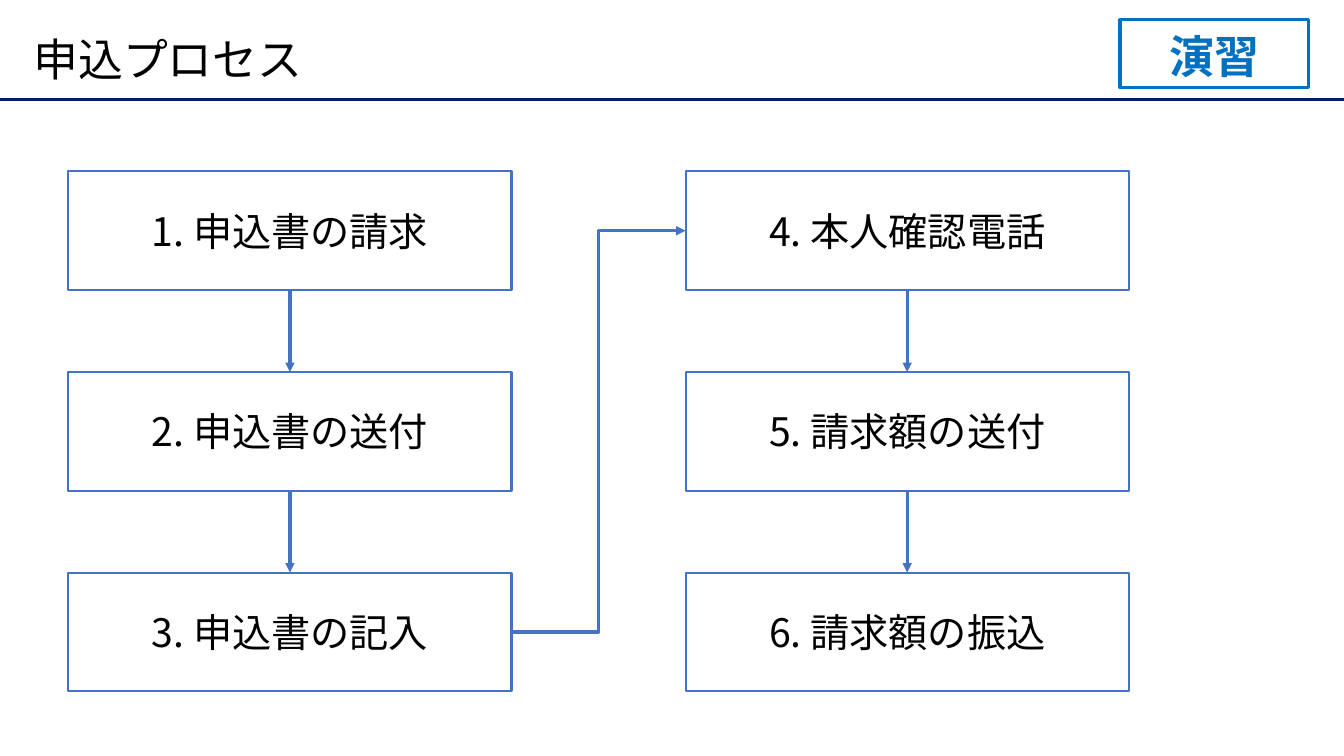
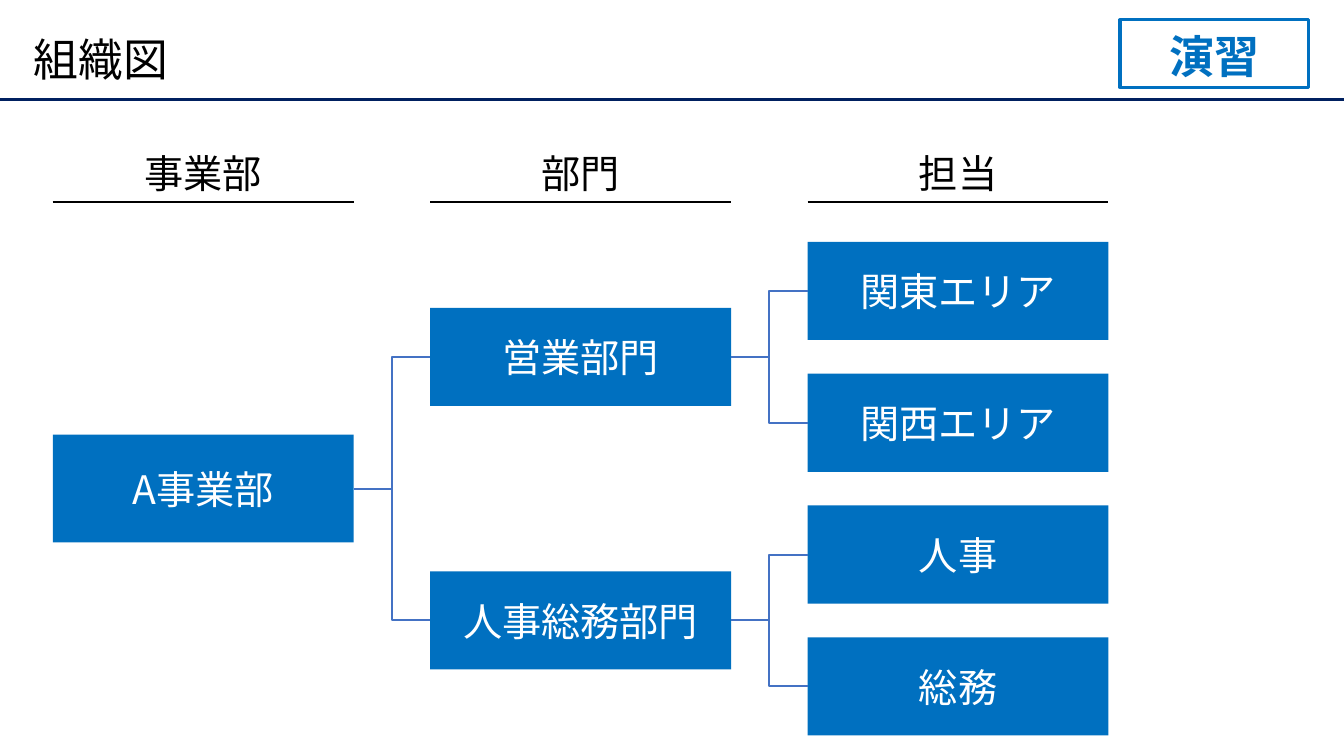
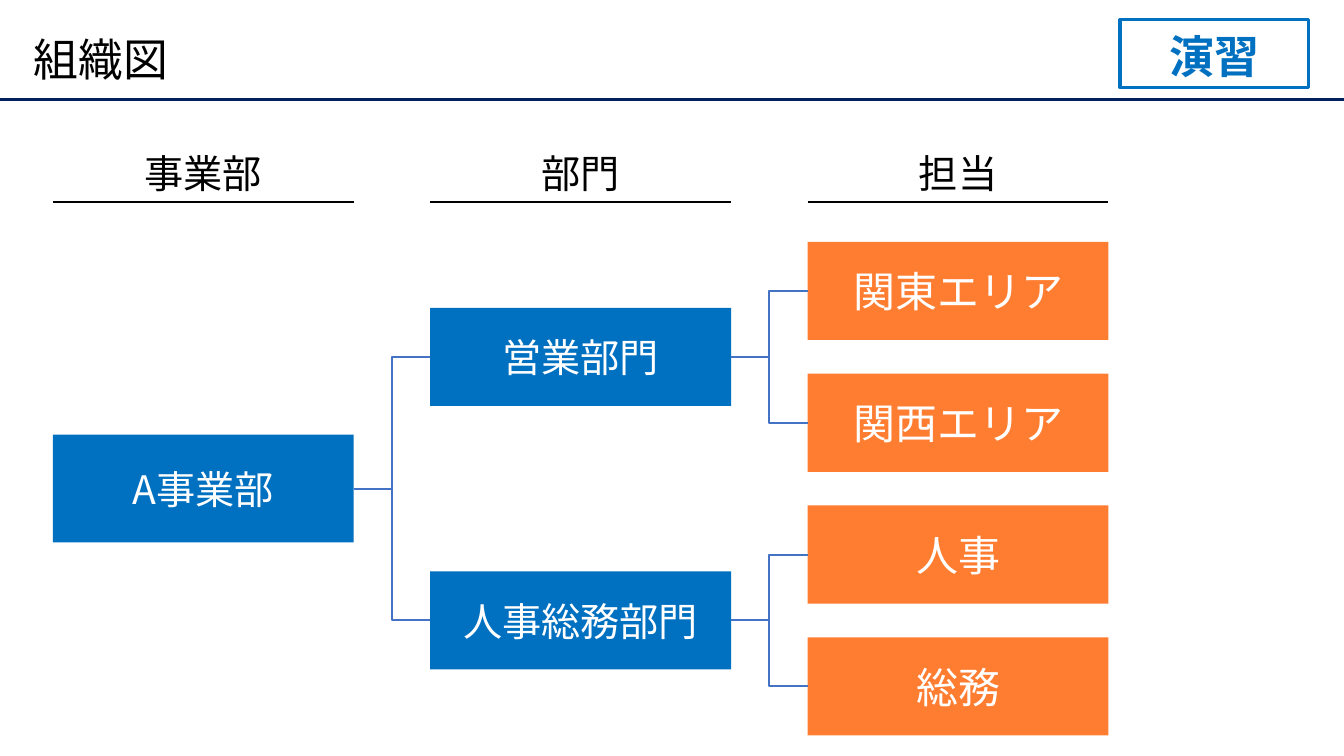
"""Builds three exercise slides: an application process and two organisation charts."""
from dataclasses import dataclass

from lxml import etree
from pptx import Presentation
from pptx.dml.color import RGBColor
from pptx.enum.lang import MSO_LANGUAGE_ID
from pptx.enum.shapes import MSO_CONNECTOR, MSO_SHAPE
from pptx.enum.text import MSO_ANCHOR, PP_ALIGN
from pptx.oxml.ns import qn
from pptx.util import Pt

RECTANGLE = MSO_SHAPE.RECTANGLE
STRAIGHT, ELBOW = MSO_CONNECTOR.STRAIGHT, MSO_CONNECTOR.ELBOW
LEFT, CENTER = PP_ALIGN.LEFT, PP_ALIGN.CENTER
TOP_ANCHOR, MIDDLE, BOTTOM_ANCHOR = MSO_ANCHOR.TOP, MSO_ANCHOR.MIDDLE, MSO_ANCHOR.BOTTOM
JAPANESE = MSO_LANGUAGE_ID.JAPANESE
TOP_SIDE, LEFT_SIDE, BOTTOM_SIDE, RIGHT_SIDE = range(4)
SLIDE_WIDTH, SLIDE_HEIGHT = 960, 540


@dataclass(frozen=True)
class Theme:
    font: str = "Noto Sans CJK JP"
    ink: str = "000000"
    paper: str = "FFFFFF"
    navy: str = "002060"
    blue: str = "0070C0"
    outline: str = "4472C4"
    orange: str = "FF7D31"
    title_size: int = 32
    body_size: int = 28
    accent_size: int = 30
    thin: float = 1.5
    thick: float = 2.25


THEME = Theme()


class Deck:
    def __init__(self):
        self.presentation = Presentation()
        self.presentation.slide_width = Pt(SLIDE_WIDTH)
        self.presentation.slide_height = Pt(SLIDE_HEIGHT)
        self.slide = None

    def new_slide(self, title):
        self.slide = self.presentation.slides.add_slide(self.presentation.slide_layouts[6])
        self.rule(0, 71.4, SLIDE_WIDTH, THEME.navy, THEME.thick)
        self.label(title, (16.8, 14.2, 907.2, 60.5), align=LEFT, anchor=MIDDLE,
                   size=THEME.title_size, spacing=0.9)
        self.box("演習", (800, 14.2, 134.6, 48.2), line=THEME.blue, width=THEME.thick,
                 color=THEME.blue, size=THEME.title_size, bold=True, anchor=BOTTOM_ANCHOR)

    def set_text(self, shape, text, color=THEME.ink, size=THEME.body_size, bold=False,
                 align=CENTER, anchor=MIDDLE, spacing=None):
        frame = shape.text_frame
        frame.word_wrap = True
        frame.vertical_anchor = anchor
        paragraph = frame.paragraphs[0]
        paragraph.alignment = align
        paragraph.line_spacing = spacing
        run = paragraph.add_run()
        run.text = text
        run.font.color.rgb = RGBColor.from_string(color)
        formats = {"name": THEME.font, "size": Pt(size), "bold": bold, "language_id": JAPANESE}
        for attribute, value in formats.items():
            setattr(run.font, attribute, value)
        etree.SubElement(run.font._element, qn("a:ea"), typeface=THEME.font)

    def label(self, text, area, **formats):
        self.set_text(self.slide.shapes.add_textbox(*map(Pt, area)), text, **formats)

    def box(self, text, area, fill=None, line=None, width=THEME.thin, **formats):
        shape = self.slide.shapes.add_shape(RECTANGLE, *map(Pt, area))
        shape.shadow.inherit = False
        for paint, color in ((shape.fill, fill), (shape.line.fill, line)):
            if color:
                paint.solid()
                paint.fore_color.rgb = RGBColor.from_string(color)
            else:
                paint.background()
        if line:
            shape.line.width = Pt(width)
        self.set_text(shape, text, **formats)
        return shape

    def style_line(self, connector, color, width):
        connector.line.color.rgb = RGBColor.from_string(color)
        connector.line.width = Pt(width)
        etree.SubElement(connector._element.spPr, qn("a:effectLst"))

    def rule(self, left, top, length, color, width):
        line = self.slide.shapes.add_connector(
            STRAIGHT, Pt(left), Pt(top), Pt(left + length), Pt(top))
        self.style_line(line, color, width)

    def link(self, start, start_side, end, end_side, kind=ELBOW, width=THEME.thin, arrow=False):
        connector = self.slide.shapes.add_connector(kind, 0, 0, 0, 0)
        connector.begin_connect(start, start_side)
        connector.end_connect(end, end_side)
        self.style_line(connector, THEME.outline, width)
        if arrow:
            outline = connector._element.spPr.find(qn("a:ln"))
            etree.SubElement(outline, qn("a:tailEnd"), type="triangle")


def process_slide(deck):
    deck.new_slide("申込プロセス")
    names = ["申込書の請求", "申込書の送付", "申込書の記入",
             "本人確認電話", "請求額の送付", "請求額の振込"]
    rows = 3
    steps = []
    for index, name in enumerate(names):
        column, row = divmod(index, rows)
        area = (48.8 + 440.9 * column, 122.4 + 143.3 * row, 316.6, 84.8)
        steps.append(deck.box(f"{index + 1}. {name}", area, fill=THEME.paper, line=THEME.outline))
    for index, (step, following) in enumerate(zip(steps, steps[1:]), 1):
        if index % rows:
            sides, kind = (BOTTOM_SIDE, TOP_SIDE), STRAIGHT
        else:
            sides, kind = (RIGHT_SIDE, LEFT_SIDE), ELBOW
        deck.link(step, sides[0], following, sides[1], kind, THEME.thick, arrow=True)


def organisation_slide(deck, duty_format):
    deck.new_slide("組織図")
    width, height, root_height = 214.9, 70.1, 77
    columns = [37.7 + 269.6 * column for column in range(3)]
    first_center, pitch = 207.8, 94.15
    departments = {"営業部門": ["関東エリア", "関西エリア"], "人事総務部門": ["人事", "総務"]}

    def unit(name, column, center, tall=height, fill=THEME.blue, **formats):
        area = (columns[column], center - tall / 2, width, tall)
        return deck.box(name, area, fill=fill, color=THEME.paper, **formats)

    for left, heading in zip(columns, ["事業部", "部門", "担当"]):
        deck.rule(left, 144.3, width, THEME.ink, THEME.thin)
        deck.label(heading, (left + 43, 103, width - 86, 41.2), anchor=TOP_ANCHOR)

    division = unit("A事業部", 0, first_center + 1.5 * pitch, root_height)
    for group, (name, duties) in enumerate(departments.items()):
        group_center = first_center + (2 * group + 0.5) * pitch
        department = unit(name, 1, group_center)
        deck.link(division, RIGHT_SIDE, department, LEFT_SIDE)
        for position, duty_name in enumerate(duties):
            duty = unit(duty_name, 2, group_center + (position - 0.5) * pitch, **duty_format)
            deck.link(department, RIGHT_SIDE, duty, LEFT_SIDE)


def main():
    deck = Deck()
    process_slide(deck)
    organisation_slide(deck, {})
    organisation_slide(deck, {"fill": THEME.orange, "size": THEME.accent_size})
    deck.presentation.save("out.pptx")


if __name__ == "__main__":
    main()
